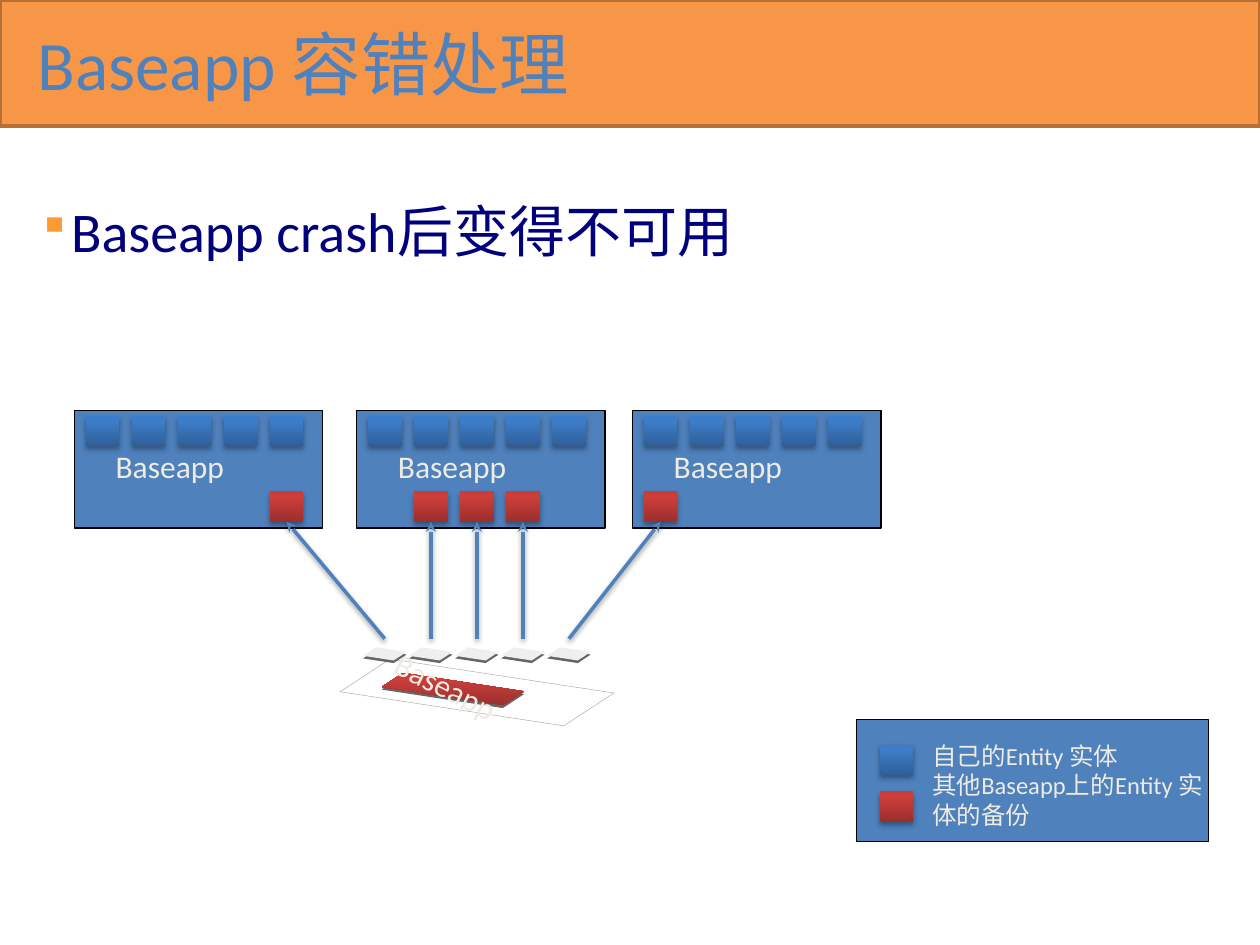
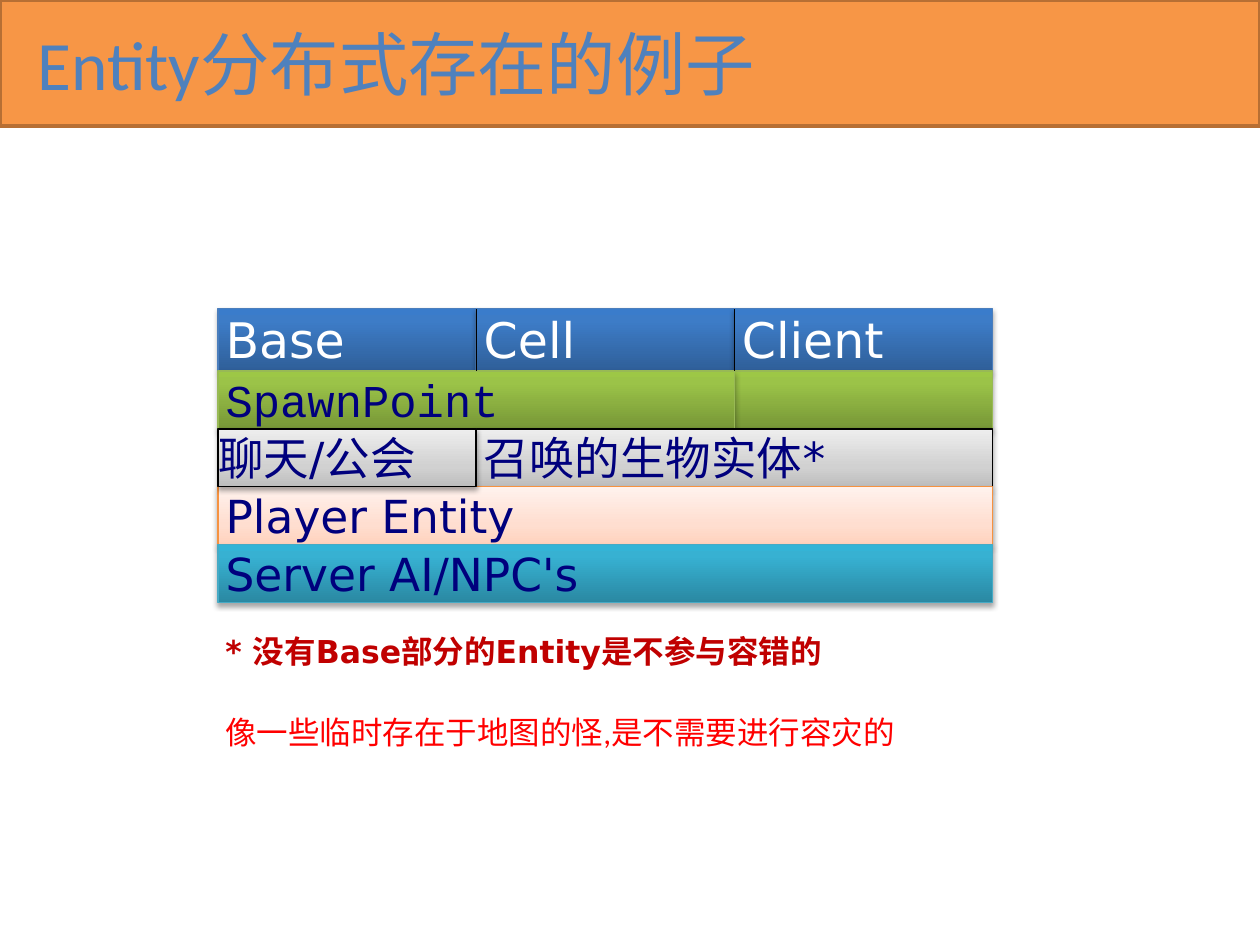
import pptx
import pptx.util
import pptx.dml.color
import pptx.enum.shapes
import pptx.enum.text
import pptx.oxml.ns
from lxml import etree

Pt = pptx.util.Pt
qn = pptx.oxml.ns.qn
RECT = pptx.enum.shapes.MSO_SHAPE.RECTANGLE

COLORS = {
    "band": "F79646", "band edge": "B76F34", "blue": "4F81BD", "navy": "00007D",
    "bullet": "FF9933", "cream": "EEECE1", "black": "000000", "white": "FFFFFF",
    "slab": "EFEFEF", "slab side": "666666", "slab edge": "A6A6A6",
    "dark red": "C00000", "red": "FF0000", "header edge": "4B7EBC",
    "green edge": "98B955", "orange edge": "F69240", "aqua edge": "46AAC5",
}
# Gradients run from bottom to top: (percent, colour)
GRADIENTS = {
    "own": ((0, "2F5F99"), (80, "3D7CC7"), (100, "3A7CCB")),
    "backup": ((0, "9C2F2D"), (80, "CB3E3A"), (100, "CE3B37")),
    "green": ((0, "779737"), (80, "9BC348"), (100, "9DC746")),
    "gray": ((0, "BDBDBD"), (35, "D1D1D1"), (100, "EEEEEE")),
    "peach": ((0, "FFD2BD"), (35, "FFDED0"), (100, "FFF2ED")),
    "aqua": ((0, "2A88A2"), (80, "37B1D2"), (100, "34B4D6")),
}
BODY, TABLE, CODE = "Calibri", "DejaVu Sans", "Courier New"

# Slide 1
FAULT_TITLE = "Baseapp 容错处理"
FAULT_POINT = "Baseapp crash后变得不可用"
APP_NAME = "Baseapp"
APP_LEFTS = (42.5, 203.8, 361.4)
APP_TOP, APP_WIDTH, APP_HEIGHT = 234.7, 142, 67
SLOTS, SLOT_INSET, SLOT_PITCH = 5, 6.4, 26.3
ENTITY_WIDTH, ENTITY_HEIGHT = 19.4, 17.3
OWN_TOP, BACKUP_TOP = 237.6, 280.8
CRASHED_LEFT, CRASHED_TOP, LOST_TOP = 201.6, 362.2, 365
# Where each lost entity is backed up: (app, slot)
BACKUPS = ((0, 4), (1, 1), (1, 2), (1, 3), (2, 0))
LEGEND_BOX = (489.6, 411.1, 200.9, 69.8)
LEGEND = ("自己的Entity 实体", "其他Baseapp上的Entity 实体的备份")
LEGEND_KEYS = (("own", 425.5), ("backup", 452.2))

# Slide 2
EXAMPLE_TITLE = "Entity分布式存在的例子"
GRID_LEFT, GRID_TOP, COLUMN, HEADER_HEIGHT, ROW = 124.6, 176.4, 147.5, 35.6, 33.1
HEADERS = ("Base", "Cell", "Client")
# (row, first column, columns, text, gradient, edge, font, left inset)
ENTITY_ROWS = (
    (0, 2, 1, "", "green", "green edge", TABLE, 4.3),
    (0, 0, 2, "SpawnPoint", "green", "green edge", CODE, 4.3),
    (1, 1, 2, "召唤的生物实体*", "gray", "black", TABLE, 4.3),
    (2, 0, 3, "Player Entity", "peach", "orange edge", TABLE, 4.3),
    (3, 0, 3, "Server AI/NPC's", "aqua", "aqua edge", TABLE, 4.3),
    (1, 0, 1, "聊天/公会", "gray", "black", TABLE, 0),
)
# (top, width, text, font, colour, bold)
REMARKS = (
    (357.8, 519, "* 没有Base部分的Entity是不参与容错的", TABLE, "dark red", True),
    (403.9, 401, "像一些临时存在于地图的怪,是不需要进行容灾的", BODY, "red", False),
)


def rgb(name):
    return pptx.dml.color.RGBColor.from_string(COLORS[name])


def add_shadow(effects, opacity=35, distance=1.8):
    shadow = etree.SubElement(effects, qn("a:outerShdw"), blurRad=str(Pt(3.1)),
                              dist=str(Pt(distance)), dir="5400000", rotWithShape="0")
    color = etree.SubElement(shadow, qn("a:srgbClr"), val=COLORS["black"])
    etree.SubElement(color, qn("a:alpha"), val=str(opacity * 1000))


def paint(shape, fill, edge=None, edge_width=0.75, shadow=False):
    """Fill with a gradient or plain colour, and set the outline and shadow."""
    if fill in GRADIENTS:
        shape.fill.gradient()
        shape.fill.gradient_angle = 90
        stops = shape._element.spPr.find(qn("a:gradFill")).find(qn("a:gsLst"))
        for stop in list(stops):
            stops.remove(stop)
        for percent, color in GRADIENTS[fill]:
            stop = etree.SubElement(stops, qn("a:gs"), pos=str(percent * 1000))
            etree.SubElement(stop, qn("a:srgbClr"), val=color)
    else:
        shape.fill.solid()
        shape.fill.fore_color.rgb = rgb(fill)
    if edge:
        shape.line.color.rgb = rgb(edge)
        shape.line.width = Pt(edge_width)
    else:
        shape.line.fill.background()
    shape.shadow.inherit = False
    if shadow:
        add_shadow(shape._element.spPr.find(qn("a:effectLst")))


def add_box(slide, box, fill, edge=None, edge_width=0.75, shadow=False):
    shape = slide.shapes.add_shape(RECT, *map(Pt, box))
    paint(shape, fill, edge, edge_width, shadow)
    return shape


def write(shape, lines, size, color, font=BODY, bold=False,
          insets=(7.2, 3.6, 7.2, 3.6), middle=False):
    frame = shape.text_frame
    frame.word_wrap = True
    anchors = pptx.enum.text.MSO_ANCHOR
    frame.vertical_anchor = anchors.MIDDLE if middle else anchors.TOP
    (frame.margin_left, frame.margin_top,
     frame.margin_right, frame.margin_bottom) = map(Pt, insets)
    for index, line in enumerate(lines):
        paragraph = frame.add_paragraph() if index else frame.paragraphs[0]
        paragraph.alignment = pptx.enum.text.PP_ALIGN.LEFT
        run = paragraph.add_run()
        run.text = line
        run.font.size = Pt(size)
        run.font.name = font
        run.font.bold = bold
        run.font.color.rgb = rgb(color)


def add_text(slide, box, lines, size, color, **style):
    text = slide.shapes.add_textbox(*map(Pt, box))
    write(text, lines, size, color, **style)
    return text


def add_line(slide, start, end, color, width, arrow=False):
    line = slide.shapes.add_connector(pptx.enum.shapes.MSO_CONNECTOR.STRAIGHT,
                                      *map(Pt, start + end))
    line.line.color.rgb = rgb(color)
    line.line.width = Pt(width)
    properties = line._element.spPr
    effects = etree.SubElement(properties, qn("a:effectLst"))
    if arrow:
        etree.SubElement(properties.find(qn("a:ln")), qn("a:tailEnd"), type="stealth")
        add_shadow(effects, 38, 1.6)


def add_slab(slide, box, fill, edge=None, drop=0):
    """Draw a box lying flat in perspective, around the same centre."""
    left, top, width, height = box
    x, y = left + width / 2, top + height / 2 + drop
    corners = [(x + 0.9 * a * width + 0.427 * b * height,
                y + 0.137 * a * width - 0.28 * b * height)
               for a, b in ((-0.5, -0.5), (0.5, -0.5), (0.5, 0.5), (-0.5, 0.5))]
    points = [(Pt(px), Pt(py)) for px, py in corners]
    outline = slide.shapes.build_freeform(*points[0])
    outline.add_line_segments(points[1:], close=True)
    paint(outline.convert_to_shape(), fill, edge, 0.25)


def add_thick_slab(slide, box, fill):
    add_slab(slide, box, "slab side", drop=1.5)
    add_slab(slide, box, fill)


def add_titled_slide(deck, title):
    slide = deck.slides.add_slide(deck.slide_layouts[6])
    add_box(slide, (0, 0, 720, 72), "band", "band edge", 2)
    add_text(slide, (14.4, 10.1, 697, 51), [title], 39.6, "blue", middle=True)
    return slide


def add_bullet(paragraph):
    properties = paragraph._p.get_or_add_pPr()
    properties.set("marL", str(Pt(14.4)))
    properties.set("indent", str(-Pt(14.4)))
    color = etree.SubElement(properties, qn("a:buClr"))
    etree.SubElement(color, qn("a:srgbClr"), val=COLORS["bullet"])
    etree.SubElement(properties, qn("a:buSzPct"), val="80000")
    etree.SubElement(properties, qn("a:buChar"), char="▪")


def entity_box(app, slot, top):
    left = APP_LEFTS[app] + SLOT_INSET + slot * SLOT_PITCH
    return left, top, ENTITY_WIDTH, ENTITY_HEIGHT


def build_fault_slide(deck):
    slide = add_titled_slide(deck, FAULT_TITLE)
    point = add_text(slide, (17.3, 111.6, 689, 113), [FAULT_POINT], 32, "navy",
                     insets=(4.3, 0.7, 2.9, 3.6))
    add_bullet(point.text_frame.paragraphs[0])
    add_box(slide, LEGEND_BOX, "blue", "black")

    for app, left in enumerate(APP_LEFTS):
        add_box(slide, (left, APP_TOP, APP_WIDTH, APP_HEIGHT), "blue", "black")
        add_text(slide, (left + 16.5, 252, 84, 29), [APP_NAME], 18, "cream")
        for slot in range(SLOTS):
            add_box(slide, entity_box(app, slot, OWN_TOP), "own", shadow=True)

    add_slab(slide, (CRASHED_LEFT, CRASHED_TOP, APP_WIDTH, APP_HEIGHT), "white", "slab edge")
    name_box = (CRASHED_LEFT + 18.7, CRASHED_TOP + 17.2, 77, 28.8)
    add_thick_slab(slide, name_box, "backup")
    name = add_text(slide, (name_box[0] - 4, name_box[1], 84, 28.8), [APP_NAME], 18, "cream")
    name.rotation = 27

    for slot, (app, backup_slot) in enumerate(BACKUPS):
        lost = entity_box(1, slot, LOST_TOP)
        backup = entity_box(app, backup_slot, BACKUP_TOP)
        add_thick_slab(slide, lost, "slab")
        add_box(slide, backup, "backup", shadow=True)
        add_line(slide, (lost[0] + ENTITY_WIDTH / 2, LOST_TOP),
                 (backup[0] + ENTITY_WIDTH / 2, BACKUP_TOP + ENTITY_HEIGHT),
                 "blue", 2, arrow=True)

    for kind, top in LEGEND_KEYS:
        add_box(slide, (502.6, top, ENTITY_WIDTH, ENTITY_HEIGHT), kind, shadow=True)
    add_text(slide, (525.6, 419.8, 174.2, 58.3), LEGEND, 14, "cream")


def build_example_slide(deck):
    slide = add_titled_slide(deck, EXAMPLE_TITLE)
    for column, header in enumerate(HEADERS):
        cell = add_box(slide, (GRID_LEFT + column * COLUMN, GRID_TOP, COLUMN, HEADER_HEIGHT),
                       "own", "header edge", shadow=True)
        write(cell, [header], 28, "white", TABLE, insets=(4.3, 0.7, 0, 0.7))
    for row, column, span, text, fill, edge, font, inset in ENTITY_ROWS:
        top = GRID_TOP + HEADER_HEIGHT + row * ROW
        cell = add_box(slide, (GRID_LEFT + column * COLUMN, top, span * COLUMN, ROW),
                       fill, edge, shadow=True)
        if text:
            write(cell, [text], 26, "navy", font, insets=(inset, 0.7, 0, 0.7))
    for column in (1, 2):
        x = GRID_LEFT + column * COLUMN
        add_line(slide, (x, GRID_TOP + HEADER_HEIGHT), (x, GRID_TOP), "black", 0.75)
    for top, width, text, font, color, bold in REMARKS:
        add_text(slide, (121.7, top, width, 28.8), [text], 18, color, font=font, bold=bold)


def main():
    deck = pptx.Presentation()
    deck.slide_width, deck.slide_height = Pt(720), Pt(540)
    build_fault_slide(deck)
    build_example_slide(deck)
    deck.save("out.pptx")


if __name__ == "__main__":
    main()
